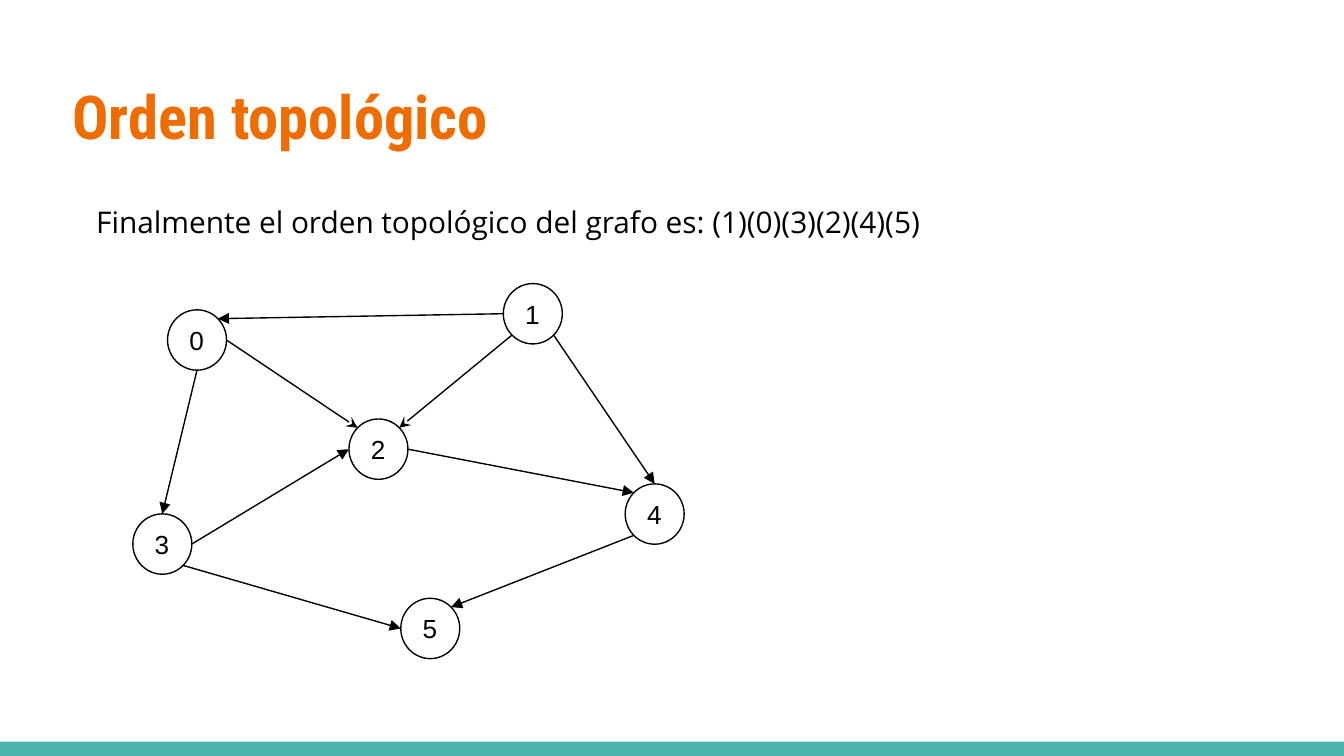
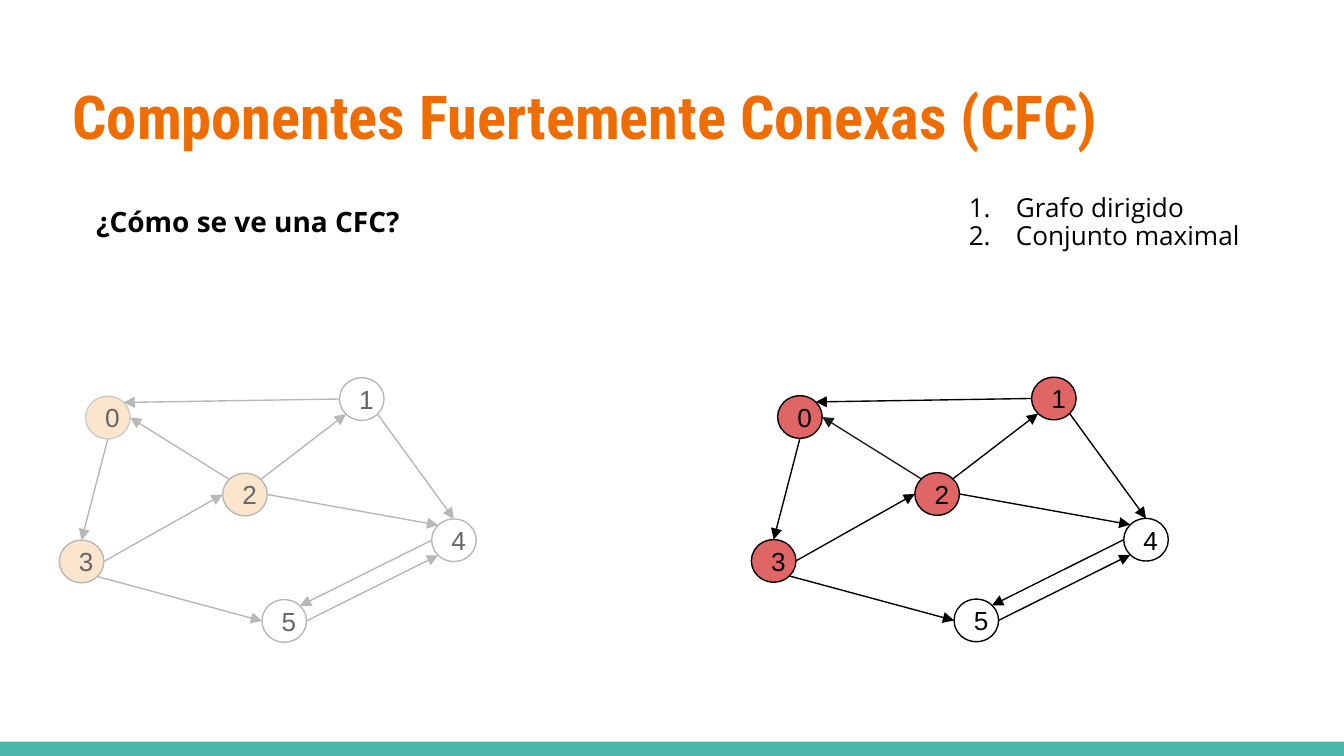
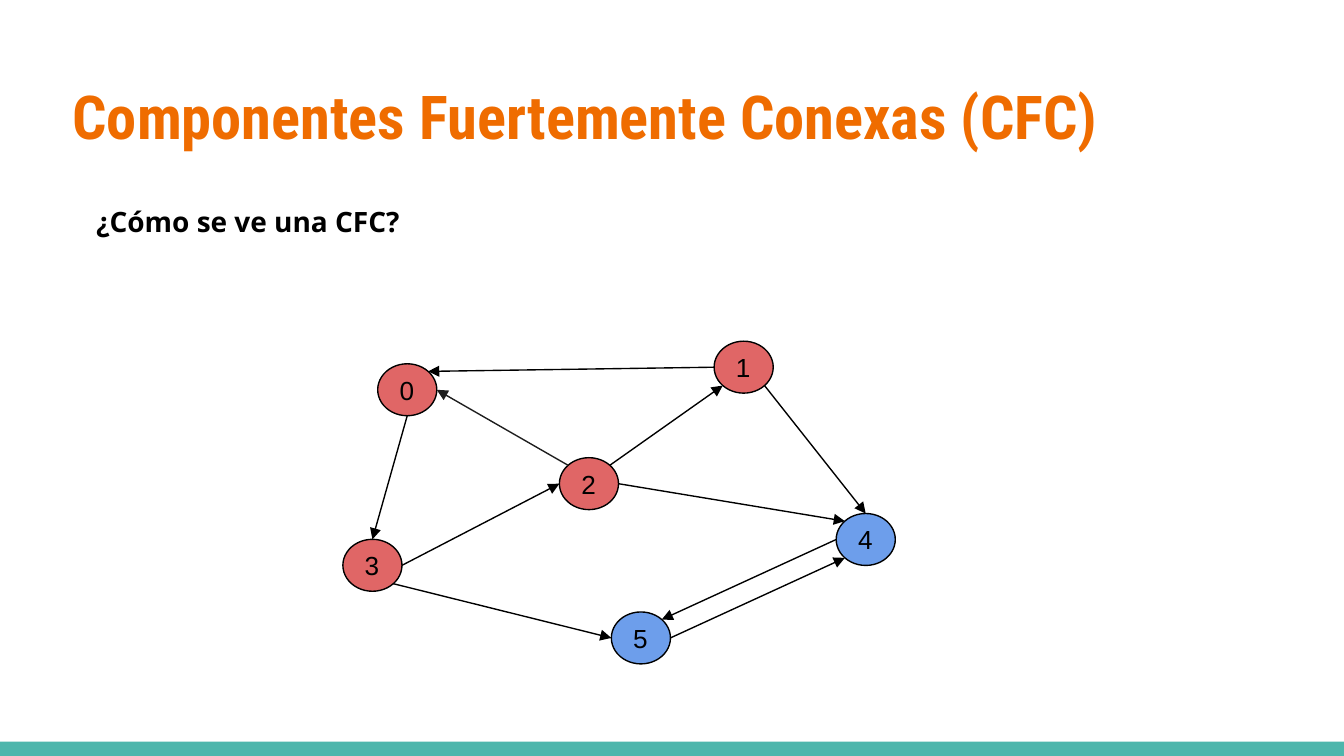
import math
from collections import namedtuple

import pptx
import pptx.dml.color
import pptx.enum.shapes
import pptx.enum.text
import pptx.oxml
import pptx.oxml.ns
import pptx.util
from lxml import etree

Cm = pptx.util.Cm
qn = pptx.oxml.ns.qn
MSO_SHAPE = pptx.enum.shapes.MSO_SHAPE
AUTO_SIZE = pptx.enum.text.MSO_AUTO_SIZE
ANCHOR = pptx.enum.text.MSO_ANCHOR

Box = namedtuple("Box", "left top width height")
Edge = namedtuple("Edge", "start start_side end end_side")
GraphStyle = namedtuple("GraphStyle", "fills outlines arrow text special_arrows")

COLORS = {
    "title": "EF6C00", "band": "4DB6AC", "ink": "000000", "soft_ink": "1E1E1E",
    "paper": "FFFFFF", "red": "E06666", "blue": "6D9EEB", "peach": "FCE5CD",
    "faded_text": "666666", "faded_line": "B7B7B7", "faded_light": "CCCCCC",
}
TITLE_FONT, BODY_FONT, NODE_FONT = "Roboto Condensed", "Open Sans", "Arial"
INSET = 0.25
LINE_SPACING = 0.9
LINE_WIDTH = 0.75

SLIDE_WIDTH, SLIDE_HEIGHT = 25.4, 14.29
BAND = Box(0, 14.02, SLIDE_WIDTH, 0.27)

NODE_PERCENT = {
    "0": (6.3, 7), "2": (39.2, 36.1), "3": (0, 61.4),
    "5": (48.6, 83.9), "1": (67.2, 0), "4": (89.3, 53.4),
}
NODE_SIZE_PERCENT = (10.7, 16.1)
SIDE_ANGLES = {"E": 0, "SE": 45, "S": 90, "SW": 135, "W": 180, "NE": 315, "N": 270, "NW": 225}

SHARED_EDGES = [
    Edge("0", "S", "3", "N"), Edge("3", "E", "2", "W"), Edge("1", "W", "0", "NE"),
    Edge("3", "SE", "5", "W"), Edge("2", "E", "4", "NW"), Edge("1", "SE", "4", "N"),
]
TOPOLOGICAL_EDGES = SHARED_EDGES + [
    Edge("0", "E", "2", "NW"), Edge("1", "SW", "2", "NE"), Edge("4", "SW", "5", "NE"),
]
COMPONENT_EDGES = SHARED_EDGES + [
    Edge("2", "NW", "0", "E"), Edge("2", "NE", "1", "SW"),
    Edge("5", "E", "4", "SW"), Edge("4", "W", "5", "NE"),
]
STEALTH_EDGES = {("0", "2"), ("1", "2")}

SOFT_ARROW = {("2", "0"): "soft_ink"}
PLAIN = GraphStyle({}, {}, "ink", "ink", {})
FADED = GraphStyle(dict.fromkeys("023", "peach"), {"0": "faded_light"},
                   "faded_line", "faded_text", {})
ONE_COMPONENT = GraphStyle(dict.fromkeys("0123", "red"), {}, "ink", "ink", SOFT_ARROW)
TWO_COMPONENTS = GraphStyle(dict.fromkeys("0123", "red") | dict.fromkeys("45", "blue"),
                            {}, "ink", "ink", SOFT_ARROW)


def rgb(color):
    """Return the RGB value of a named colour."""
    return pptx.dml.color.RGBColor.from_string(COLORS[color])


def lengths(box):
    """Convert a box in centimetres to slide lengths."""
    return [Cm(side) for side in box]


def write(frame, lines, font, size, color, bold=False, spacing=LINE_SPACING):
    """Fill a text frame with left-aligned lines in one format."""
    frame.word_wrap = True
    frame.margin_left = frame.margin_right = Cm(INSET)
    frame.margin_top = frame.margin_bottom = Cm(INSET)
    frame.text = "\n".join(lines)
    for paragraph in frame.paragraphs:
        paragraph.alignment = pptx.enum.text.PP_ALIGN.LEFT
        paragraph.line_spacing = spacing
        for run in paragraph.runs:
            run.font.name = font
            run.font.size = pptx.util.Pt(size)
            run.font.bold = bold
            run.font.color.rgb = rgb(color)


def add_title(slide, text, width):
    """Place and format the slide title."""
    title = slide.shapes.title
    title.left, title.top, title.width, title.height = lengths(Box(1.12, 1.24, width, 1.96))
    frame = title.text_frame
    frame.auto_size = AUTO_SIZE.NONE
    frame.vertical_anchor = ANCHOR.TOP
    write(frame, [text], TITLE_FONT, 32.4, "title", True, 1.0)


def add_body(slide, box, lines, size, bold=False):
    """Add a body text box that grows with its text."""
    frame = slide.shapes.add_textbox(*lengths(box)).text_frame
    write(frame, lines, BODY_FONT, size, "ink", bold)
    frame.auto_size = AUTO_SIZE.SHAPE_TO_FIT_TEXT
    return frame


def number_lines(frame):
    """Turn the paragraphs of a frame into a numbered list."""
    for paragraph in frame.paragraphs:
        properties = paragraph.runs[0].font and paragraph._p.get_or_add_pPr()
        properties.set("marL", str(Cm(1.27)))
        properties.set("indent", str(-Cm(0.89)))
        number_color = etree.SubElement(properties, qn("a:buClr"))
        etree.SubElement(number_color, qn("a:srgbClr")).set("val", COLORS["ink"])
        etree.SubElement(properties, qn("a:buAutoNum")).set("type", "arabicPeriod")


def side_point(node_box, side):
    """Return the point of a node's outline at a compass side."""
    angle = math.radians(SIDE_ANGLES[side])
    x = node_box.left + node_box.width / 2 * (1 + math.cos(angle))
    y = node_box.top + node_box.height / 2 * (1 + math.sin(angle))
    return Cm(x), Cm(y)


def add_node(slide, box, label, style):
    """Add one numbered graph node."""
    node = slide.shapes.add_shape(MSO_SHAPE.OVAL, *lengths(box))
    node.shadow.inherit = False
    node.fill.solid()
    node.fill.fore_color.rgb = rgb(style.fills.get(label, "paper"))
    node.line.color.rgb = rgb(style.outlines.get(label, style.arrow))
    node.line.width = pptx.util.Pt(LINE_WIDTH)
    write(node.text_frame, [label], NODE_FONT, 14, style.text, spacing=1.0)
    node.text_frame.vertical_anchor = ANCHOR.MIDDLE


def add_arrow(slide, start, end, color, head):
    """Draw an arrow between two points."""
    arrow = slide.shapes.add_connector(pptx.enum.shapes.MSO_CONNECTOR.STRAIGHT, *start, *end)
    arrow.line.color.rgb = rgb(color)
    arrow.line.width = pptx.util.Pt(LINE_WIDTH)
    properties = arrow.element.spPr
    etree.SubElement(properties.find(qn("a:ln")), qn("a:tailEnd")).set("type", head)
    etree.SubElement(properties, qn("a:effectLst"))


def add_graph(slide, box, edges, style):
    """Draw the six-node directed graph inside a box."""
    width, height = (length * percent / 100 for length, percent
                     in zip((box.width, box.height), NODE_SIZE_PERCENT))
    node_boxes = {
        label: Box(box.left + box.width * x / 100, box.top + box.height * y / 100, width, height)
        for label, (x, y) in NODE_PERCENT.items()
    }
    for label, node_box in node_boxes.items():
        add_node(slide, node_box, label, style)
    for edge in edges:
        ends = (edge.start, edge.end)
        add_arrow(slide,
                  side_point(node_boxes[edge.start], edge.start_side),
                  side_point(node_boxes[edge.end], edge.end_side),
                  style.special_arrows.get(ends, style.arrow),
                  "stealth" if ends in STEALTH_EDGES else "triangle")


def add_master_band(master, slide):
    """Put the bottom band on the slide master."""
    band = slide.shapes.add_shape(MSO_SHAPE.RECTANGLE, *lengths(BAND))
    band.shadow.inherit = False
    band.fill.solid()
    band.fill.fore_color.rgb = rgb("band")
    band.line.fill.background()
    band.element.find(".//" + qn("p:cNvPr")).set("id", "100")
    master.placeholders[0].element.getparent().insert(2, band.element)


def build_topological_order(slide):
    """Build the slide with the topological order of the graph."""
    add_title(slide, "Orden topológico", 8.56)
    add_body(slide, Box(1.57, 3.68, 19.91, 1.19),
             ["Finalmente el orden topológico del grafo es: (1)(0)(3)(2)(4)(5)"], 16)
    add_graph(slide, Box(2.51, 5.36, 10.42, 7.09), TOPOLOGICAL_EDGES, PLAIN)


def build_components(slide):
    """Add the heading shared by the component slides."""
    add_title(slide, "Componentes Fuertemente Conexas (CFC)", 20.52)
    add_body(slide, Box(1.57, 3.68, 18.69, 1.75), ["¿Cómo se ve una CFC?"], 15, True)


def build_maximal_set(slide):
    """Build the slide comparing a partial set with the maximal one."""
    build_components(slide)
    add_graph(slide, Box(1.12, 7.14, 7.88, 5), COMPONENT_EDGES, FADED)
    conditions = add_body(slide, Box(17.68, 3.43, 6.65, 1.7),
                          ["Grafo dirigido", "Conjunto maximal"], 14)
    number_lines(conditions)
    add_graph(slide, Box(14.2, 7.13, 7.88, 5), COMPONENT_EDGES, ONE_COMPONENT)


def build_two_components(slide):
    """Build the slide with both components coloured."""
    build_components(slide)
    add_graph(slide, Box(6.48, 6.45, 10.44, 6.1), COMPONENT_EDGES, TWO_COMPONENTS)


def main():
    """Build and save the presentation."""
    deck = pptx.Presentation()
    deck.slide_width, deck.slide_height = Cm(SLIDE_WIDTH), Cm(SLIDE_HEIGHT)
    title_only = deck.slide_layouts.get_by_name("Title Only")
    builders = [build_topological_order, build_maximal_set, build_two_components]
    slides = [deck.slides.add_slide(title_only) for _ in builders]
    add_master_band(deck.slide_master, slides[0])
    for build, slide in zip(builders, slides):
        build(slide)
    deck.save("out.pptx")


if __name__ == "__main__":
    main()
